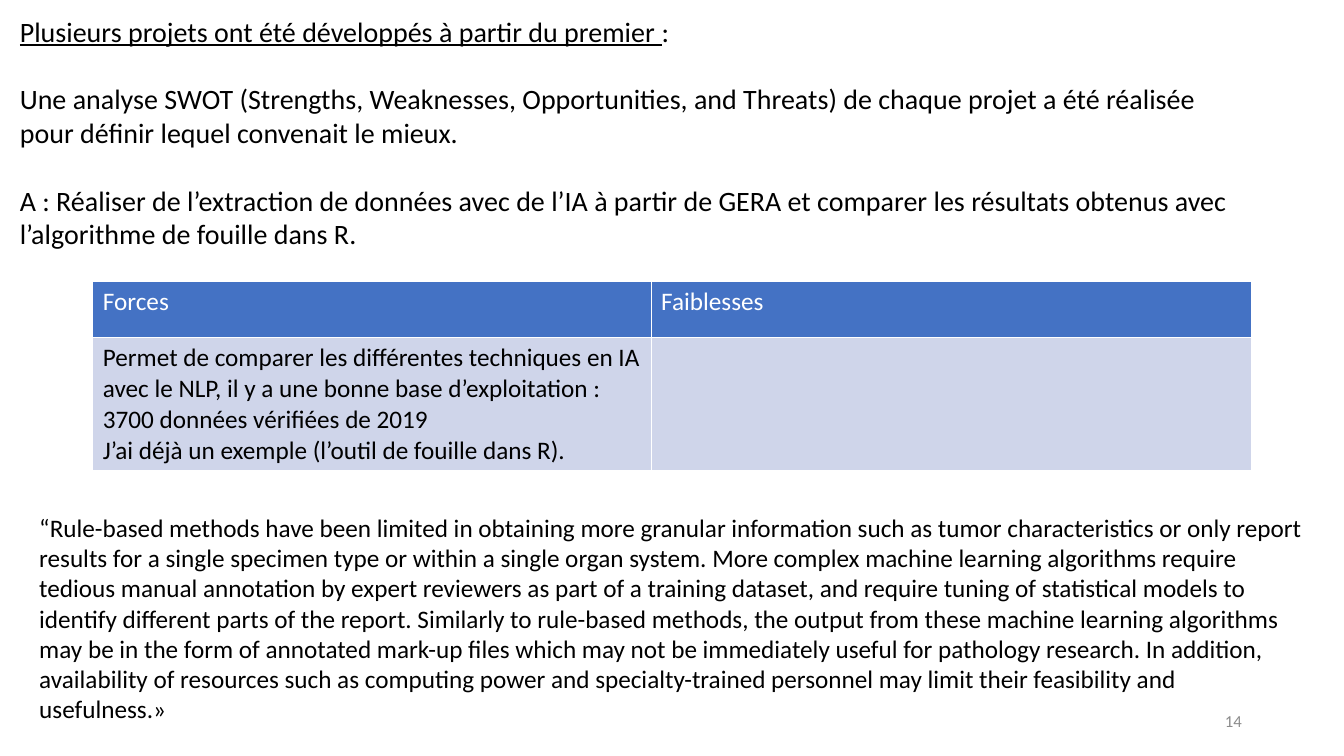
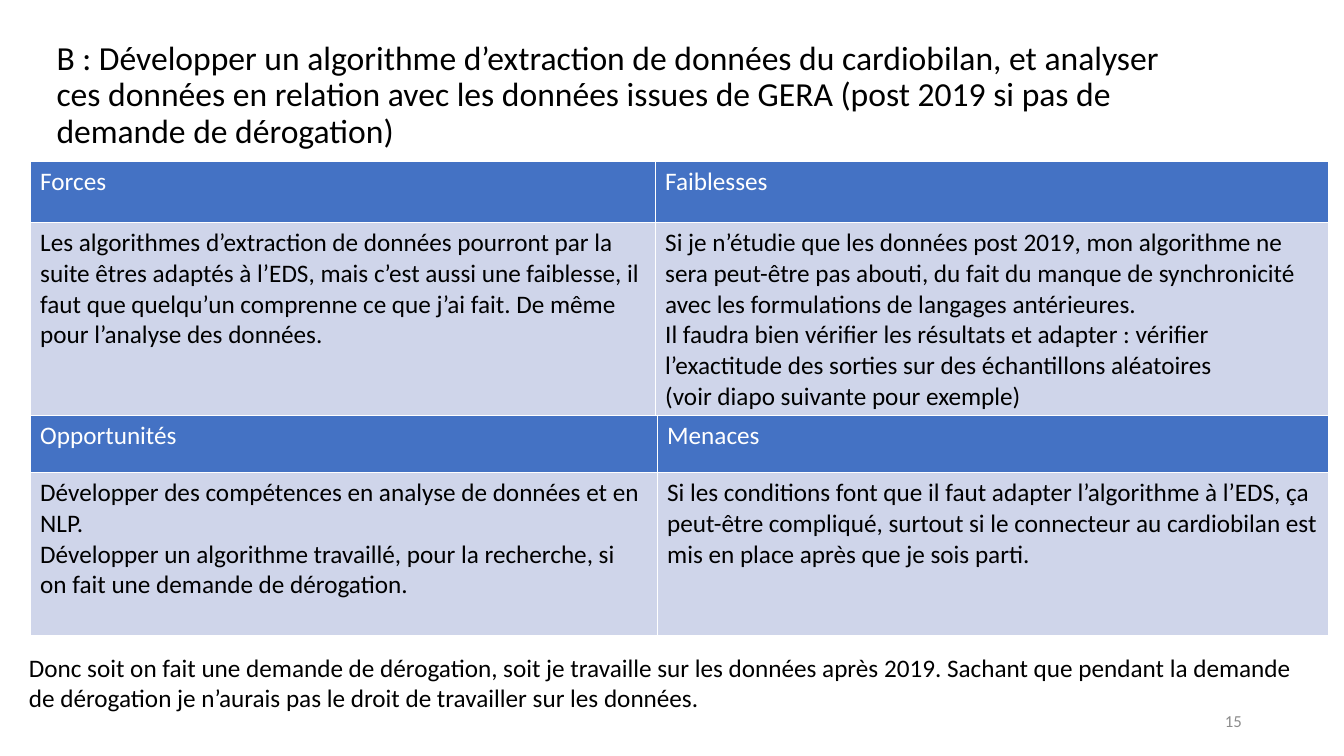
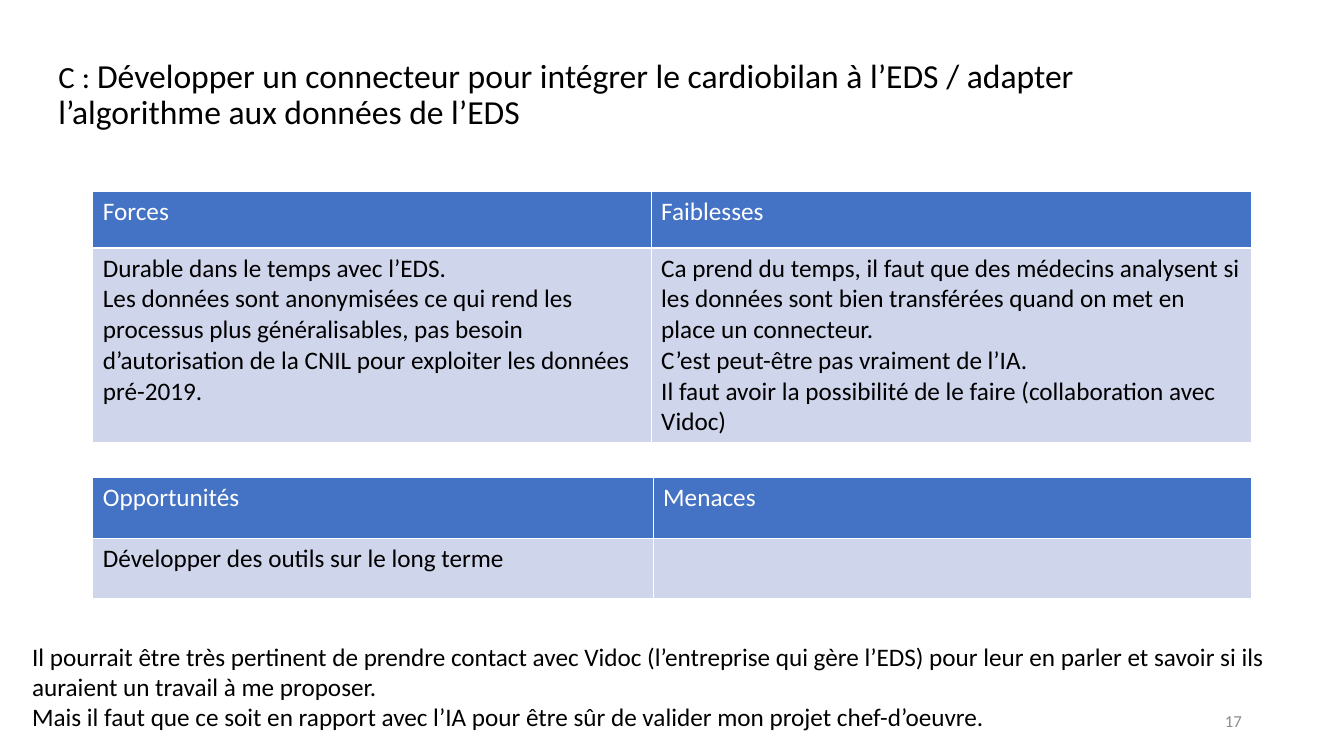
import pptx
import pptx.dml.color
import pptx.enum.text
import pptx.oxml
import pptx.util
from pptx.oxml import ns

Cm, Pt = pptx.util.Cm, pptx.util.Pt
RGBColor = pptx.dml.color.RGBColor
ALIGN, ANCHOR = pptx.enum.text.PP_ALIGN, pptx.enum.text.MSO_ANCHOR

# Shared style
BLUE = RGBColor(0x44, 0x72, 0xC4)
PALE = RGBColor(0xCF, 0xD5, 0xEA)
WHITE = RGBColor(0xFF, 0xFF, 0xFF)
BLACK = RGBColor(0, 0, 0)
GREY = RGBColor(0x8C, 0x8C, 0x8C)

BODY = {"name": "Calibri", "size": Pt(18), "bold": False, "color": BLACK}
HEADER = {**BODY, "color": WHITE}
INTRO = {**BODY, "size": Pt(20)}
TITLE = {**BODY, "size": Pt(24)}
NUMBER = {**BODY, "size": Pt(12), "color": GREY}

NUMBER_BOX = (23.93, 17.65, 7.62, 1.02)
NARROW = (2.34, 29.21)  # table left and width
WIDE = (0.76, 32.72)
STRENGTHS = ("Forces", "Faiblesses")
CHANCES = ("Opportunités", "Menaces")

# Content: a paragraph is a string or a list of (text, format changes) runs
SLIDES = [
    {
        "number": "14",
        "tables": [
            {"place": NARROW, "top": 7.09, "first_col": 14.07, "rows": (1.42, 3.35),
             "header": STRENGTHS,
             "body": (
                 ["Permet de comparer les différentes techniques en IA avec le NLP, il y a "
                  "une bonne base d’exploitation : 3700 données vérifiées de 2019",
                  "J’ai déjà un exemple (l’outil de fouille dans R)."],
                 [])},
        ],
        "texts": [
            {"box": (0.25, 0.23, 31.27, 6.25), "format": INTRO, "gap": Pt(24.4),
             "paragraphs": [
                 [("Plusieurs projets ont été développés à partir du premier ",
                   {"underline": True}), (":", {})],
                 "Une analyse SWOT (Strengths, Weaknesses, Opportunities, and Threats) de "
                 "chaque projet a été réalisée pour définir lequel convenait le mieux.",
                 "A : Réaliser de l’extraction de données avec de l’IA à partir de GERA et "
                 "comparer les résultats obtenus avec l’algorithme de fouille dans R."]},
            {"box": (0.74, 12.78, 32.41, 5.64), "format": BODY,
             "paragraphs": [
                 "“Rule-based methods have been limited in obtaining more granular "
                 "information such as tumor characteristics or only report results for a "
                 "single specimen type or within a single organ system. More complex "
                 "machine learning algorithms require tedious manual annotation by expert "
                 "reviewers as part of a training dataset, and require tuning of "
                 "statistical models to identify different parts of the report. Similarly "
                 "to rule-based methods, the output from these machine learning algorithms "
                 "may be in the form of annotated mark-up files which may not be "
                 "immediately useful for pathology research. In addition, availability of "
                 "resources such as computing power and specialty-trained personnel may "
                 "limit their feasibility and usefulness.»"]},
        ],
    },
    {
        "number": "15",
        "title": (
            (1.17, 0.58, 29.21, 3.68),
            "B : Développer un algorithme d’extraction de données du cardiobilan, et "
            "analyser ces données en relation avec les données issues de GERA (post 2019 "
            "si pas de demande de dérogation)"),
        "tables": [
            {"place": WIDE, "top": 4.06, "first_col": 15.75, "rows": (1.55, 4.85),
             "header": STRENGTHS,
             "body": (
                 ["Les algorithmes d’extraction de données pourront par la suite êtres "
                  "adaptés à l’EDS, mais c’est aussi une faiblesse, il faut que quelqu’un "
                  "comprenne ce que j’ai fait. De même pour l’analyse des données."],
                 ["Si je n’étudie que les données post 2019, mon algorithme ne sera "
                  "peut-être pas abouti, du fait du manque de synchronicité avec les "
                  "formulations de langages antérieures.",
                  "Il faudra bien vérifier les résultats et adapter : vérifier "
                  "l’exactitude des sorties sur des échantillons aléatoires",
                  "(voir diapo suivante pour exemple)"])},
            {"place": WIDE, "top": 10.46, "first_col": 15.8, "rows": (1.45, 4.1),
             "header": CHANCES,
             "body": (
                 ["Développer des compétences en analyse de données et en NLP.",
                  "Développer un algorithme travaillé, pour la recherche, si on fait une "
                  "demande de dérogation."],
                 ["Si les conditions font que il faut adapter l’algorithme à l’EDS, ça "
                  "peut-être compliqué, surtout si le connecteur au cardiobilan est mis en "
                  "place après que je sois parti."])},
        ],
        "texts": [
            {"box": (0.48, 16.31, 32.99, 1.8), "format": BODY,
             "paragraphs": [
                 "Donc soit on fait une demande de dérogation, soit je travaille sur les "
                 "données après 2019. Sachant que pendant la demande de dérogation je "
                 "n’aurais pas le droit de travailler sur les données."]},
        ],
    },
    {
        "number": "17",
        "title": (
            (1.22, 0.56, 29.21, 3.68),
            [("C : ", {"size": Pt(22)}),
             ("Développer un connecteur pour intégrer le cardiobilan à l’EDS / adapter "
              "l’algorithme aux données de l’EDS", {})]),
        "tables": [
            {"place": NARROW, "top": 4.83, "first_col": 14.07, "rows": (1.42, 4.9),
             "header": STRENGTHS,
             "body": (
                 ["Durable dans le temps avec l’EDS.",
                  "Les données sont anonymisées ce qui rend les processus plus "
                  "généralisables, pas besoin d’autorisation de la CNIL pour exploiter "
                  "les données pré-2019."],
                 ["Ca prend du temps, il faut que des médecins analysent si les données "
                  "sont bien transférées quand on met en place un connecteur.",
                  "C’est peut-être pas vraiment de l’IA.",
                  "Il faut avoir la possibilité de le faire (collaboration avec Vidoc)"])},
            {"place": NARROW, "top": 12.04, "first_col": 14.12, "rows": (1.52, 1.52),
             "header": CHANCES,
             "body": (["Développer des outils sur le long terme"], [])},
        ],
        "texts": [
            {"box": (0.56, 16.03, 32.77, 2.57), "format": BODY,
             "paragraphs": [
                 "Il pourrait être très pertinent de prendre contact avec Vidoc "
                 "(l’entreprise qui gère l’EDS) pour leur en parler et savoir si ils "
                 "auraient un travail à me proposer.",
                 "Mais il faut que ce soit en rapport avec l’IA pour être sûr de valider "
                 "mon projet chef-d’oeuvre."]},
        ],
    },
]


def write(tf, paragraphs, style, **layout):
    """Fill a text frame; layout holds paragraph attributes."""
    for i, content in enumerate(paragraphs):
        p = tf.add_paragraph() if i else tf.paragraphs[0]
        for key, value in layout.items():
            if key != "space_before" or i:
                setattr(p, key, value)
        runs = [(content, {})] if isinstance(content, str) else content
        for text, changes in runs:
            r = p.add_run()
            r.text = text
            for key, value in {**style, **changes}.items():
                if key == "color":
                    r.font.color.rgb = value
                else:
                    setattr(r.font, key, value)


def add_text(s, box, paragraphs, style, anchor=ANCHOR.TOP, **layout):
    tf = s.shapes.add_textbox(*map(Cm, box)).text_frame
    tf.word_wrap = True
    tf.vertical_anchor = anchor
    write(tf, paragraphs, style, **layout)


def set_title(s, box, content):
    sp = s.shapes.title
    sp.left, sp.top, sp.width, sp.height = map(Cm, box)
    tf = sp.text_frame
    tf.word_wrap = True
    tf.auto_size = pptx.enum.text.MSO_AUTO_SIZE.NONE
    tf.vertical_anchor = ANCHOR.MIDDLE
    write(tf, [content], TITLE, alignment=ALIGN.LEFT, line_spacing=0.9)


def format_cell(cell, fill):
    tc_pr = cell._tc.get_or_add_tcPr()
    for side in ("lnL", "lnR", "lnT", "lnB"):
        tc_pr.append(pptx.oxml.parse_xml(
            f'<a:{side} {ns.nsdecls("a")} w="12700"><a:solidFill>'
            f'<a:srgbClr val="{WHITE}"/></a:solidFill></a:{side}>'))
    cell.fill.solid()
    cell.fill.fore_color.rgb = fill


def add_swot(s, place, top, first_col, rows, header, body):
    left, width = place
    table = s.shapes.add_table(
        2, 2, Cm(left), Cm(top), Cm(width), Cm(sum(rows))).table
    for column, size in zip(table.columns, (first_col, width - first_col)):
        column.width = Cm(size)
    for row, size in zip(table.rows, rows):
        row.height = Cm(size)
    for c in range(2):
        for r, (paragraphs, style, fill) in enumerate(
                [([header[c]], HEADER, BLUE), (body[c], BODY, PALE)]):
            cell = table.cell(r, c)
            format_cell(cell, fill)
            write(cell.text_frame, paragraphs, style)


def main():
    prs = pptx.Presentation()
    prs.slide_width, prs.slide_height = Cm(33.87), Cm(19.05)
    title_only, blank = prs.slide_layouts[5], prs.slide_layouts[6]
    for content in SLIDES:
        s = prs.slides.add_slide(title_only if "title" in content else blank)
        if "title" in content:
            set_title(s, *content["title"])
        for table in content["tables"]:
            add_swot(s, **table)
        for text in content["texts"]:
            add_text(s, text["box"], text["paragraphs"], text["format"],
                     space_before=text.get("gap", Pt(0)))
        # Slide number
        add_text(s, NUMBER_BOX, [content["number"]], NUMBER,
                 anchor=ANCHOR.MIDDLE, alignment=ALIGN.RIGHT)
    prs.save("out.pptx")


if __name__ == "__main__":
    main()
